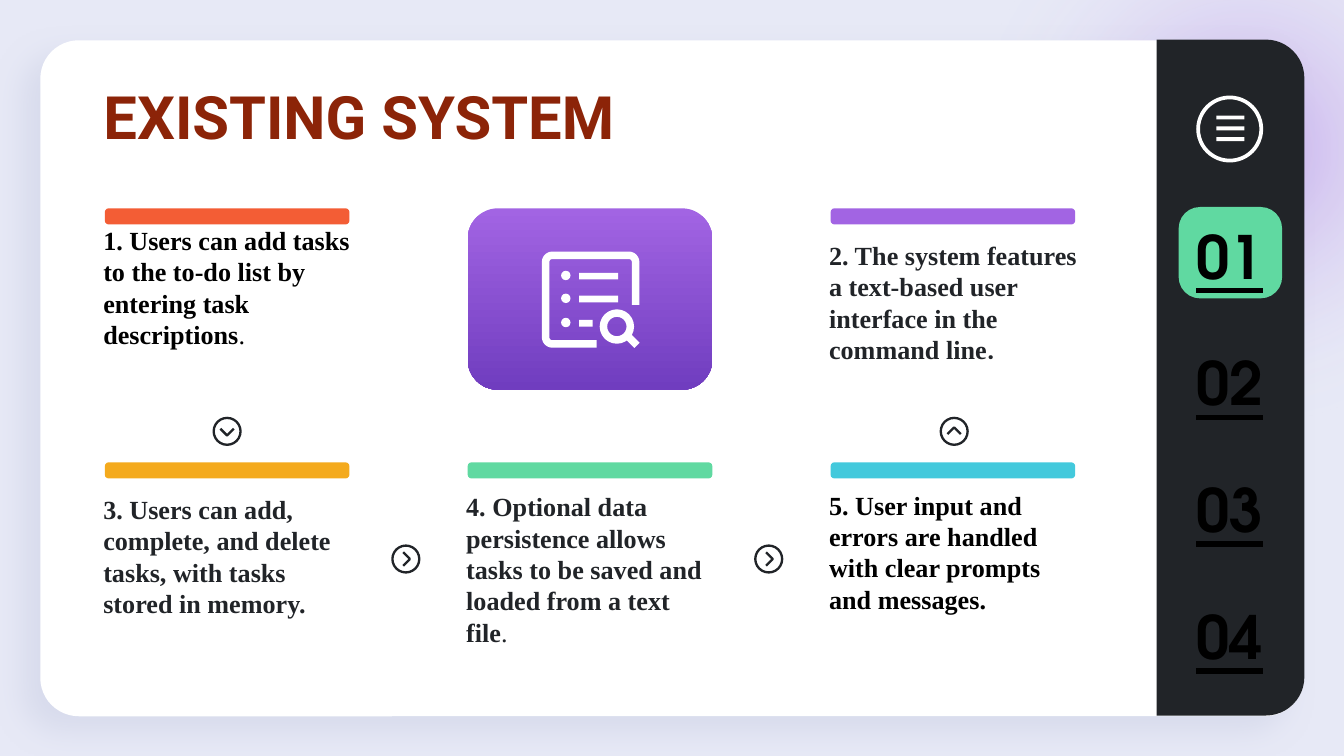
from dataclasses import dataclass
from math import cos, pi, sin
from typing import NamedTuple

from pptx import Presentation
from pptx.dml.color import RGBColor as Rgb
from pptx.enum.shapes import MSO_CONNECTOR as Link, MSO_SHAPE as Preset
from pptx.enum.text import MSO_ANCHOR as Anchor, MSO_AUTO_SIZE as AutoSize, PP_ALIGN as Align
from pptx.oxml import parse_xml
from pptx.oxml.ns import nsdecls, qn
from pptx.util import Inches, Pt


@dataclass(frozen=True)
class Theme:
    backdrop: str = "E7E9F6"
    card: str = "FFFFFF"
    ink: str = "212428"
    black: str = "000000"
    title: str = "8C2408"
    orange: str = "F35D35"
    amber: str = "F4AA1D"
    violet: str = "A264E3"
    deep_violet: str = "703DBF"
    cyan: str = "43C9DC"
    green: str = "60D9A1"
    shade: str = "C7CCE2"
    heading_size: int = 32
    step_size: int = 14
    heading_font: str = "Roboto"
    step_font: str = "Times New Roman"
    number_font: str = "TeX Gyre Adventor"


class Box(NamedTuple):
    left: float
    top: float
    width: float
    height: float


class Run(NamedTuple):
    text: str
    font: str
    size: int
    color: str
    bold: bool = True
    underline: bool | None = None


class Step(NamedTuple):
    column: int
    row: int
    accent: str
    color: str
    drop: float
    height: float
    inset: float
    text: str
    ending: str = ""
    ending_font: str = "Times New Roman"
    ending_bold: bool = False


class Arrow(NamedTuple):
    x: float
    y: float
    turn: float


THEME = Theme()
WIDTH = 10
HEIGHT = WIDTH * 9 / 16
COLUMNS = [0.78 + 2.7 * i for i in range(3)]
ROWS = [1.55, 3.44]
CELL_WIDTH = 1.82
FIRST_NUMBER, NUMBER_PITCH = 1.63, 2.83 / 3

STEPS = [
    Step(0, 0, THEME.orange, THEME.black, 0.12, 1.05, 0,
         "1. Users can add tasks to the to-do list by entering task descriptions", "."),
    Step(2, 0, THEME.violet, THEME.ink, 0.23, 0.94, 0,
         "2. The system features a text-based user interface in the command line", ".",
         THEME.heading_font, True),
    Step(0, 1, THEME.amber, THEME.ink, 0.23, 0.49, 0,
         "3. Users can add, complete, and delete tasks, with tasks stored in memory."),
    Step(1, 1, THEME.green, THEME.ink, 0.21, 0.49, 0,
         "4. Optional data persistence allows tasks to be saved and loaded from a text file", "."),
    Step(2, 1, THEME.cyan, THEME.black, 0.15, 1.04, 0.05,
         "5. User input and errors are handled with clear prompts and messages."),
]
ARROWS = [Arrow(1.69, 3.21, pi / 2), Arrow(7.1, 3.21, -pi / 2),
          Arrow(3.02, 4.16, 0), Arrow(5.72, 4.16, 0)]


def assign(target, formats: dict) -> None:
    for name, value in formats.items():
        setattr(target, name, value)


def emu(box: Box) -> list[int]:
    return [Inches(length) for length in box]


def stroke(item, color: str, weight: float) -> None:
    item.line.color.rgb = Rgb.from_string(color)
    item.line.width = Pt(weight)


def block(slide, preset, box: Box, color: str | None = None, adjust=()):
    shape = slide.shapes.add_shape(preset, *emu(box))
    shape.shadow.inherit = False
    shape.line.fill.background()
    if color:
        shape.fill.solid()
        shape.fill.fore_color.rgb = Rgb.from_string(color)
    else:
        shape.fill.background()
    for index, value in enumerate(adjust):
        shape.adjustments[index] = value
    return shape


def around(x: float, y: float, size: float) -> Box:
    return Box(x - size / 2, y - size / 2, size, size)


def ring(slide, x: float, y: float, size: float, color: str, weight: float) -> None:
    stroke(block(slide, Preset.OVAL, around(x, y, size)), color, weight)


def trace(slide, points: list[tuple[float, float]], color: str, weight: float) -> None:
    start, *rest = [(Inches(x), Inches(y)) for x, y in points]
    builder = slide.shapes.build_freeform(*start)
    builder.add_line_segments(rest, close=False)
    outline = builder.convert_to_shape()
    outline.shadow.inherit = False
    outline.fill.background()
    stroke(outline, color, weight)


def write(holder, box: Box, runs: list[Run], insets: tuple, align, anchor) -> None:
    assign(holder, dict(zip(("left", "top", "width", "height"), emu(box))))
    frame = holder.text_frame
    assign(frame, {"word_wrap": True, "auto_size": AutoSize.NONE, "vertical_anchor": anchor})
    margins = ("margin_left", "margin_top", "margin_right", "margin_bottom")
    assign(frame, dict(zip(margins, map(Inches, insets))))
    paragraph = frame.paragraphs[0]
    paragraph.alignment = align
    for part in runs:
        run = paragraph.add_run()
        run.text = part.text
        assign(run.font, {"name": part.font, "size": Pt(part.size),
                          "bold": part.bold, "underline": part.underline})
        run.font.color.rgb = Rgb.from_string(part.color)


def draw_backdrop(slide) -> None:
    slide.background.fill.solid()
    slide.background.fill.fore_color.rgb = Rgb.from_string(THEME.backdrop)
    glow = block(slide, Preset.OVAL, Box(6.93, -1.22, 4.66, 4.66)).element.spPr
    stops = "".join(
        f'<a:gs pos="{place}000"><a:srgbClr val="{color}"><a:alpha val="{alpha}000"/></a:srgbClr></a:gs>'
        for place, color, alpha in ((0, THEME.violet, 49), (62, THEME.backdrop, 0), (100, THEME.card, 0)))
    glow.replace(glow.find(qn("a:noFill")), parse_xml(
        f'<a:gradFill {nsdecls("a")}><a:gsLst>{stops}</a:gsLst><a:path path="circle">'
        '<a:fillToRect l="50000" t="50000" r="50000" b="50000"/></a:path></a:gradFill>'))
    card = block(slide, Preset.ROUNDED_RECTANGLE, Box(0.3, 0.3, 9.4, 5.03), THEME.card, [0.057])
    card.element.spPr.find(qn("a:effectLst")).append(parse_xml(
        f'<a:outerShdw {nsdecls("a")} blurRad="{Pt(16.9)}" dist="{Pt(12)}" dir="{137 * 60000}" '
        f'algn="ctr" rotWithShape="0"><a:srgbClr val="{THEME.shade}"><a:alpha val="47000"/>'
        '</a:srgbClr></a:outerShdw>'))
    sidebar = block(slide, Preset.ROUND_2_SAME_RECTANGLE, Box(6.64, 2.26, 5.03, 1.1),
                    THEME.ink, [0.261, 0])
    sidebar.rotation = 90


def draw_step(slide, step: Step) -> None:
    left, top = COLUMNS[step.column], ROWS[step.row]
    block(slide, Preset.ROUNDED_RECTANGLE, Box(left, top, CELL_WIDTH, 0.12), step.accent, [0.238])
    runs = [Run(step.text, THEME.step_font, THEME.step_size, step.color)]
    if step.ending:
        runs.append(Run(step.ending, step.ending_font, THEME.step_size, step.color, step.ending_bold))
    box = Box(left - 0.11, top + step.drop, 2.05, step.height)
    write(slide.shapes.add_textbox(*emu(box)), box, runs,
          (0.1, step.inset, 0.1, step.inset), Align.LEFT, Anchor.TOP)


def draw_arrow(slide, arrow: Arrow) -> None:
    ring(slide, arrow.x, arrow.y, 0.2, THEME.ink, 1.25)
    c, s = cos(arrow.turn), sin(arrow.turn)
    chevron = [(-0.02, -0.05), (0.03, 0), (-0.02, 0.05)]
    trace(slide, [(arrow.x + x * c - y * s, arrow.y + x * s + y * c) for x, y in chevron],
          THEME.ink, 1.25)


def draw_list_icon(slide) -> None:
    tile = block(slide, Preset.ROUNDED_RECTANGLE,
                 Box(COLUMNS[1], ROWS[0], CELL_WIDTH, 1.35), THEME.violet, [0.167])
    tile.fill.gradient()
    tile.fill.gradient_angle = 270
    for stop, color in zip(tile.fill.gradient_stops, (THEME.violet, THEME.deep_violet)):
        stop.color.rgb = Rgb.from_string(color)
    near, far, radius = (4.06, 1.9), (4.73, 2.56), 0.05
    corners = [(near[0] + radius, far[1] - radius, pi / 2),
               (near[0] + radius, near[1] + radius, pi),
               (far[0] - radius, near[1] + radius, 3 * pi / 2)]
    bends = [(x + radius * cos(start + i * pi / 12), y + radius * sin(start + i * pi / 12))
             for x, y, start in corners for i in range(7)]
    trace(slide, [(4.44, far[1]), *bends, (far[0], 2.27)], THEME.card, 4)
    for y, length in ((2.05, 0.29), (2.22, 0.29), (2.4, 0.1)):
        block(slide, Preset.OVAL, around(4.21, y, 0.07), THEME.card)
        block(slide, Preset.RECTANGLE, Box(4.31, y - 0.02, length, 0.05), THEME.card)
    ring(slide, 4.59, 2.43, 0.2, THEME.card, 4)
    handle = slide.shapes.add_connector(Link.STRAIGHT, *map(Inches, (4.67, 2.5, 4.74, 2.57)))
    stroke(handle, THEME.card, 4)
    handle.element.spPr.append(parse_xml(f'<a:effectLst {nsdecls("a")}/>'))


def draw_sidebar(slide) -> None:
    ring(slide, 9.15, 0.96, 0.47, THEME.card, 2)
    for i in range(3):
        block(slide, Preset.RECTANGLE, Box(9.05, 0.86 + 0.08 * i, 0.21, 0.03), THEME.card)
    block(slide, Preset.ROUNDED_RECTANGLE, Box(8.77, 1.54, 0.77, 0.68), THEME.green, [0.234])
    for i in range(4):
        box = Box(8.75, FIRST_NUMBER + i * NUMBER_PITCH, 0.8, 0.54)
        number = Run(f"{i + 1:02}", THEME.number_font, THEME.heading_size, THEME.black, True, True)
        write(slide.shapes.add_textbox(*emu(box)), box, [number],
              (0.1, 0, 0.1, 0), Align.CENTER, Anchor.MIDDLE)


def main() -> None:
    deck = Presentation()
    assign(deck, {"slide_width": Inches(WIDTH), "slide_height": Inches(HEIGHT)})
    slide = deck.slides.add_slide(deck.slide_layouts[5])
    draw_backdrop(slide)
    for step in STEPS:
        draw_step(slide, step)
    for arrow in ARROWS:
        draw_arrow(slide, arrow)
    draw_list_icon(slide)
    draw_sidebar(slide)
    title = slide.shapes.title
    title.element.getparent().append(title.element)
    write(title, Box(0.67, 0.59, 7.45, 0.52),
          [Run("EXISTING SYSTEM", THEME.heading_font, THEME.heading_size, THEME.title)],
          (0.1, 0, 0.1, 0.1), Align.LEFT, Anchor.TOP)
    deck.save("out.pptx")


if __name__ == "__main__":
    main()
